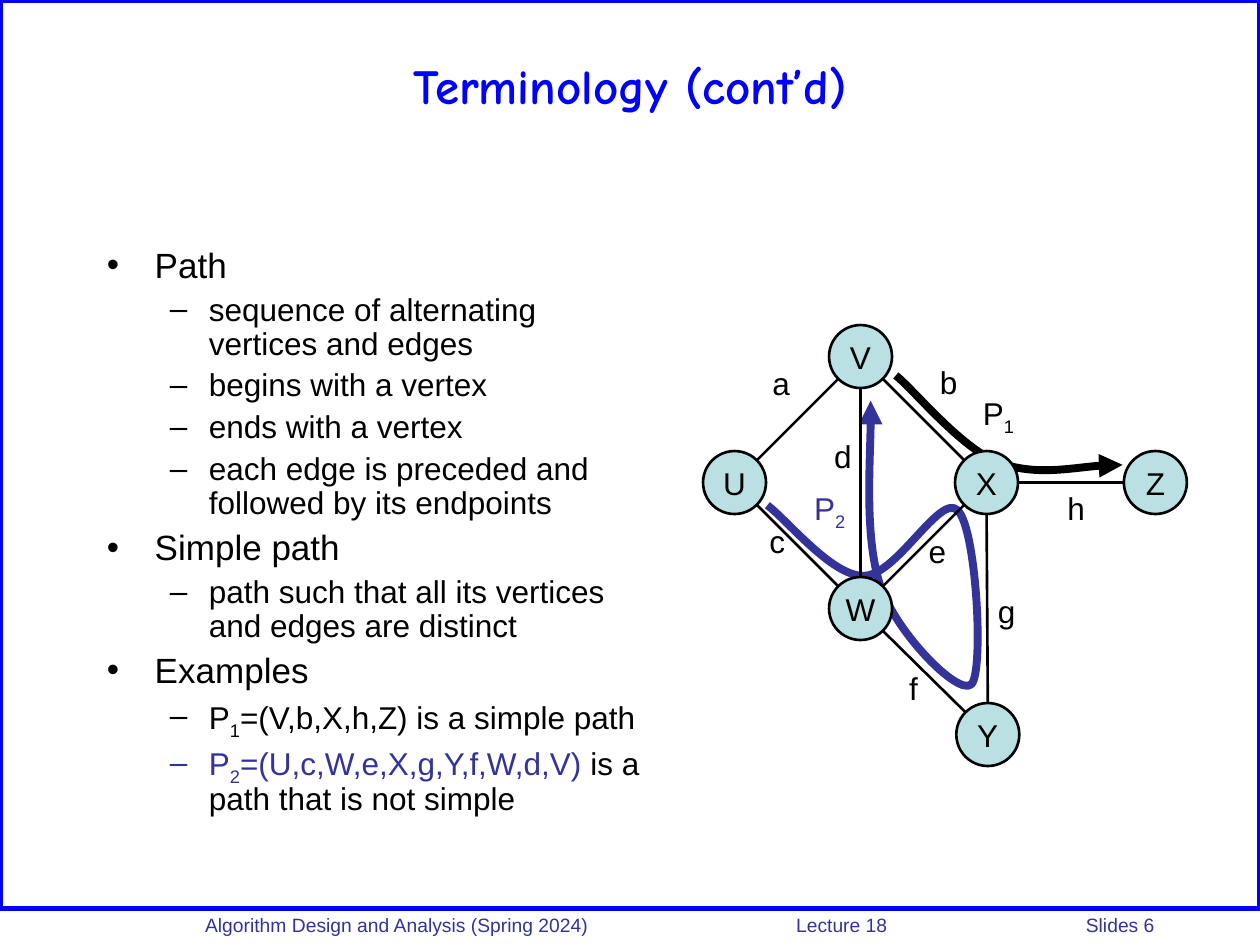
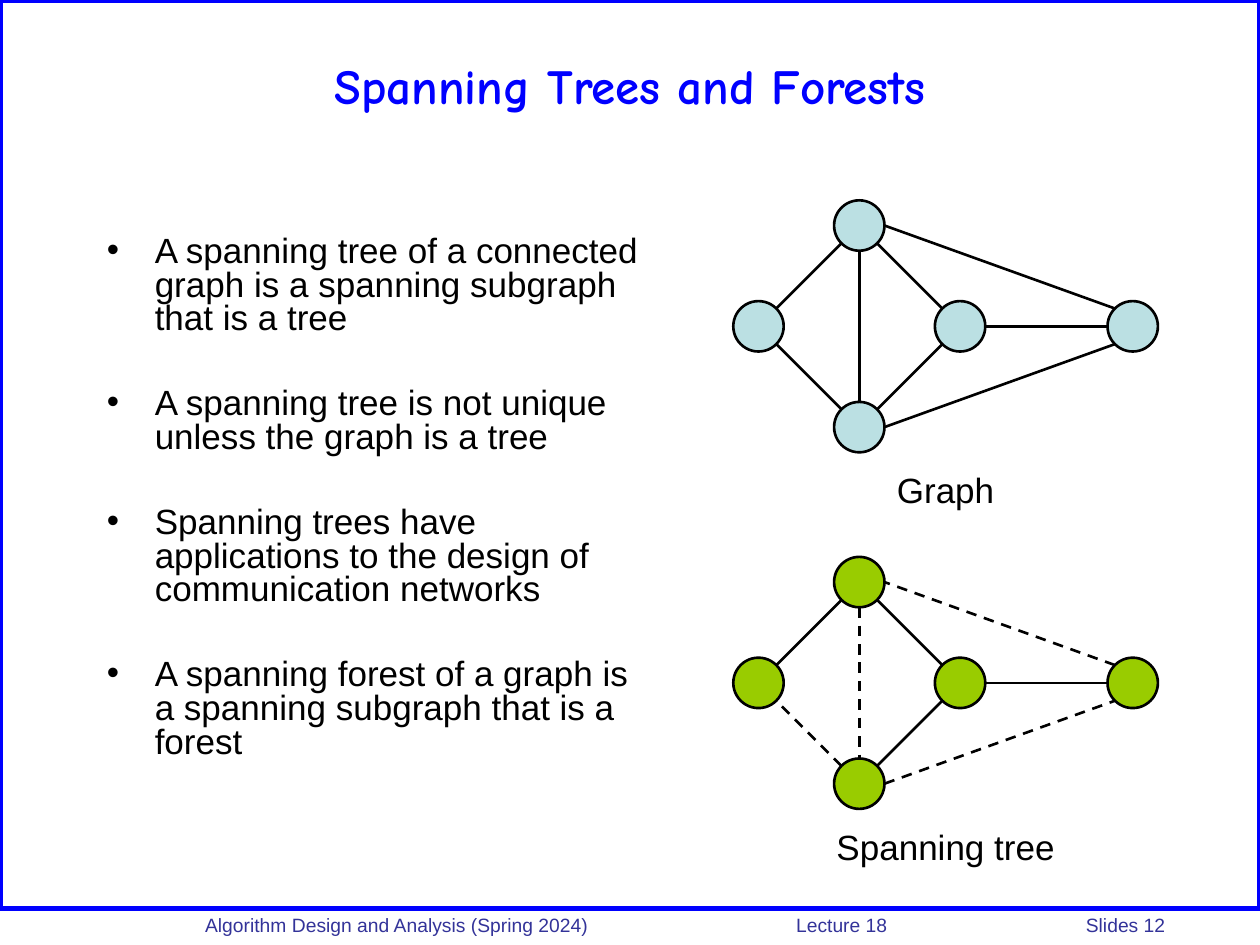
import math
from typing import NamedTuple

import lxml.etree as etree
import pptx
import pptx.dml.color
import pptx.enum.dml
import pptx.enum.shapes
import pptx.enum.text
import pptx.oxml.ns
import pptx.util

Inches, Pt = pptx.util.Inches, pptx.util.Pt
qn = pptx.oxml.ns.qn
ALIGN = pptx.enum.text.PP_ALIGN
ANCHOR = pptx.enum.text.MSO_ANCHOR
SHAPE = pptx.enum.shapes.MSO_SHAPE

BLACK, BLUE, INDIGO = "000000", "0000FF", "333399"
PALE_TEAL, GREEN = "BBE0E3", "99CC00"
BODY_FONT, TITLE_FONT = "Arial", "Comic Neue"

DIAG = math.sqrt(0.5)
SITES = {"N": (0, -1), "S": (0, 1), "W": (-1, 0), "E": (1, 0),
         "NW": (-DIAG, -DIAG), "NE": (DIAG, -DIAG),
         "SW": (-DIAG, DIAG), "SE": (DIAG, DIAG)}


class Run(NamedTuple):
    text: str
    color: str = BLACK
    sub: bool = False


class Bullet(NamedTuple):
    runs: list[Run]
    level: int = 0


class BulletStyle(NamedTuple):
    char: str
    left: float
    hang: float
    size: float
    before: float


class Box(NamedTuple):
    x: float
    y: float
    w: float
    h: float

    def emu(self) -> list[int]:
        return [Inches(v) for v in self]


class Node(NamedTuple):
    """A vertex, placed by its centre."""
    x: float
    y: float
    text: str = ""


class Edge(NamedTuple):
    """An edge between two vertices, and the compass site it touches on each."""
    start: str
    start_site: str
    end: str
    end_site: str


class Label(NamedTuple):
    x: float
    y: float
    w: float
    runs: list[Run]


BULLETS = [BulletStyle("•", 0.38, 0.38, 20, 5), BulletStyle("–", 0.81, 0.31, 18, 4.5)]


def rgb(color: str) -> pptx.dml.color.RGBColor:
    return pptx.dml.color.RGBColor.from_string(color)


def style_line(line, color: str, width: float) -> None:
    line.color.rgb = rgb(color)
    line.width = Pt(width)


def add_runs(p, runs: list[Run], size: float, font: str = BODY_FONT, bold: bool = False) -> None:
    for run in runs:
        r = p.add_run()
        r.text = run.text
        r.font.name, r.font.size, r.font.bold = font, Pt(size), bold
        r.font.color.rgb = rgb(run.color)
        if run.sub:
            r.font._element.set("baseline", "-25000")


def add_label(s, box: Box, runs: list[Run], size: float = 18,
              align=ALIGN.CENTER, wrap: bool = False) -> None:
    tf = s.shapes.add_textbox(*box.emu()).text_frame
    tf.word_wrap = wrap
    tf.paragraphs[0].alignment = align
    add_runs(tf.paragraphs[0], runs, size)


def add_bullets(s, box: Box, bullets: list[Bullet], spacing: float, gap: float = 0) -> None:
    """Draw a bulleted list; gap is extra space between entries, in points."""
    tf = s.shapes.add_textbox(*box.emu()).text_frame
    tf.word_wrap = True
    for i, bullet in enumerate(bullets):
        style = BULLETS[bullet.level]
        p = tf.add_paragraph() if i else tf.paragraphs[0]
        p.level = bullet.level
        pPr = p._p.get_or_add_pPr()
        pPr.set("marL", str(Inches(style.left)))
        pPr.set("indent", str(-Inches(style.hang)))
        bu_color = etree.SubElement(pPr, qn("a:buClr"))
        etree.SubElement(bu_color, qn("a:srgbClr"), val=bullet.runs[0].color)
        etree.SubElement(pPr, qn("a:buFont"), typeface=BODY_FONT)
        etree.SubElement(pPr, qn("a:buChar"), char=style.char)
        p.line_spacing = spacing
        p.space_before = Pt(style.before + gap if i else 0)
        add_runs(p, bullet.runs, style.size)


def add_node(s, node: Node, diameter: float, fill: str) -> None:
    box = Box(node.x - diameter / 2, node.y - diameter / 2, diameter, diameter)
    sp = s.shapes.add_shape(SHAPE.OVAL, *box.emu())
    sp.shadow.inherit = False
    sp.fill.solid()
    sp.fill.fore_color.rgb = rgb(fill)
    style_line(sp.line, BLACK, 1.5)
    if node.text:
        tf = sp.text_frame
        tf.word_wrap = False
        tf.vertical_anchor = ANCHOR.MIDDLE
        tf.paragraphs[0].alignment = ALIGN.CENTER
        add_runs(tf.paragraphs[0], [Run(node.text)], 18)


def site_point(node: Node, site: str, diameter: float) -> tuple[int, int]:
    dx, dy = SITES[site]
    return Inches(node.x + dx * diameter / 2), Inches(node.y + dy * diameter / 2)


def add_edge(s, start: tuple[int, int], end: tuple[int, int], dashed: bool) -> None:
    c = s.shapes.add_connector(pptx.enum.shapes.MSO_CONNECTOR.STRAIGHT, *start, *end)
    style_line(c.line, BLACK, 1.5)
    if dashed:
        c.line.dash_style = pptx.enum.dml.MSO_LINE.DASH
    etree.SubElement(c._element.spPr, qn("a:effectLst"))


def add_graph(s, nodes: dict[str, Node], edges: list[Edge], diameter: float,
              fill: str, dashed: frozenset[str] = frozenset()) -> None:
    """Draw vertices and edges; dashed holds edges as their two vertex keys joined."""
    for node in nodes.values():
        add_node(s, node, diameter, fill)
    for e in edges:
        add_edge(s, site_point(nodes[e.start], e.start_site, diameter),
                 site_point(nodes[e.end], e.end_site, diameter),
                 e.start + e.end in dashed)


def add_curve_arrow(s, points: list[tuple[float, float]], color: str) -> None:
    """Draw Bézier segments (start point, then three points each) ending in an arrowhead."""
    start, *rest = [(Inches(x), Inches(y)) for x, y in points]
    builder = s.shapes.build_freeform(*start, scale=1.0)
    builder.add_line_segments(rest, close=False)
    sp = builder.convert_to_shape()
    sp.shadow.inherit = False
    sp.fill.background()
    style_line(sp.line, color, 4.5)
    etree.SubElement(sp._element.spPr.find(qn("a:ln")), qn("a:tailEnd"), type="triangle")
    segments = sp._element.findall(".//" + qn("a:lnTo"))
    for i in range(0, len(segments), 3):
        bezier = etree.Element(qn("a:cubicBezTo"))
        segments[i].addprevious(bezier)
        for segment in segments[i:i + 3]:
            bezier.append(segment[0])
            segment.getparent().remove(segment)


def add_slide(prs, title: str, number: int):
    """Add a slide with the shared frame, title and footer."""
    s = prs.slides.add_slide(prs.slide_layouts[5])
    frame = s.shapes.add_shape(SHAPE.RECTANGLE, *Box(0, 0, 10, 7.21).emu())
    frame.shadow.inherit = False
    frame.fill.background()
    style_line(frame.line, BLUE, 3)

    sp = s.shapes.title
    sp.left, sp.top, sp.width, sp.height = Box(0.5, 0.17, 9, 1).emu()
    tf = sp.text_frame
    tf.auto_size = pptx.enum.text.MSO_AUTO_SIZE.NONE
    tf.vertical_anchor = ANCHOR.MIDDLE
    tf.paragraphs[0].alignment = ALIGN.CENTER
    add_runs(tf.paragraphs[0], [Run(title, BLUE)], 28, TITLE_FONT, bold=True)

    footer = [(1.53, 4, "Algorithm Design and Analysis (Spring 2024)"),
              (6.22, 1.5, "Lecture 18"), (8.52, 1.4, f"Slides {number}")]
    for x, w, text in footer:
        add_label(s, Box(x, 7.2, w, 0.26), [Run(text, INDIGO)], 11, ALIGN.LEFT, wrap=True)
    return s


def terminology_slide(prs) -> None:
    s = add_slide(prs, "Terminology (cont’d)", 6)
    add_bullets(s, Box(0.75, 1.92, 4.5, 4.67), [
        Bullet([Run("Path")]),
        Bullet([Run("sequence of alternating vertices and edges")], 1),
        Bullet([Run("begins with a vertex")], 1),
        Bullet([Run("ends with a vertex")], 1),
        Bullet([Run("each edge is preceded and followed by its endpoints")], 1),
        Bullet([Run("Simple path")]),
        Bullet([Run("path such that all its vertices and edges are distinct")], 1),
        Bullet([Run("Examples")]),
        Bullet([Run("P"), Run("1", sub=True), Run("=(V,b,X,h,Z) is a simple path")], 1),
        Bullet([Run("P", INDIGO), Run("2", INDIGO, True),
                Run("=(U,c,W,e,X,g,Y,f,W,d,V)", INDIGO),
                Run(" is a path that is not simple")], 1),
    ], spacing=0.9)

    add_curve_arrow(s, [
        (6.09, 4.01), (6.25, 4.13), (6.6, 4.57), (6.85, 4.57),
        (7.11, 4.58), (7.46, 3.91), (7.6, 4.05),
        (7.75, 4.19), (7.81, 5.33), (7.71, 5.43),
        (7.61, 5.53), (7.12, 5.03), (6.99, 4.66),
        (6.86, 4.28), (6.92, 3.42), (6.91, 3.18)], INDIGO)
    add_curve_arrow(s, [
        (7.11, 2.98), (7.25, 3.09), (7.62, 3.55), (7.92, 3.67),
        (8.22, 3.78), (8.7, 3.68), (8.91, 3.69)], BLACK)

    centres = {"X": (7.83, 3.83), "U": (5.83, 3.83), "V": (6.83, 2.83),
               "W": (6.83, 4.83), "Z": (9.17, 3.83), "Y": (7.84, 5.83)}
    nodes = {name: Node(x, y, name) for name, (x, y) in centres.items()}
    edges = [Edge("V", "SW", "U", "NE"), Edge("W", "NW", "U", "SE"),
             Edge("W", "NE", "X", "SW"), Edge("X", "E", "Z", "W"),
             Edge("V", "SE", "X", "NW"), Edge("V", "S", "W", "N"),
             Edge("W", "SE", "Y", "NW"), Edge("X", "S", "Y", "N")]
    add_graph(s, nodes, edges, 0.5, PALE_TEAL)

    edge_labels = {"a": (6.03, 2.84), "b": (7.36, 2.83), "c": (6.0, 4.09),
                   "d": (6.52, 3.42), "e": (7.27, 4.17), "f": (7.08, 5.26),
                   "g": (7.82, 4.65), "h": (8.37, 3.83)}
    labels = [Label(x, y, 0.34, [Run(name)]) for name, (x, y) in edge_labels.items()]
    labels += [Label(7.7, 3.08, 0.45, [Run("P"), Run("1", sub=True)]),
               Label(6.36, 3.83, 0.45, [Run("P", INDIGO), Run("2", INDIGO, True)])]
    for label in labels:
        add_label(s, Box(label.x, label.y, label.w, 0.4), label.runs)


def spanning_slide(prs) -> None:
    s = add_slide(prs, "Spanning Trees and Forests", 12)
    statements = [
        "A spanning tree of a connected graph is a spanning subgraph that is a tree",
        "A spanning tree is not unique unless the graph is a tree",
        "Spanning trees have applications to the design of communication networks",
        "A spanning forest of a graph is a spanning subgraph that is a forest"]
    add_bullets(s, Box(0.75, 1.83, 4.42, 4.64),
                [Bullet([Run(text)]) for text in statements], spacing=0.8, gap=24.4)

    edges = [Edge("T", "SW", "L", "NE"), Edge("B", "NW", "L", "SE"),
             Edge("B", "NE", "M", "SW"), Edge("T", "SE", "M", "NW"),
             Edge("T", "S", "B", "N"), Edge("M", "E", "R", "W"),
             Edge("B", "E", "R", "SW"), Edge("R", "NW", "T", "E")]
    non_tree = frozenset({"BL", "TB", "BR", "RT"})
    graphs = [(2.59, PALE_TEAL, frozenset(), "Graph"),
              (5.42, GREEN, non_tree, "Spanning tree")]
    for y, fill, dashed, caption in graphs:
        nodes = {"M": Node(7.62, y), "L": Node(6.02, y), "T": Node(6.82, y - 0.8),
                 "B": Node(6.82, y + 0.8), "R": Node(8.99, y)}
        add_graph(s, nodes, edges, 0.4, fill, dashed)
        add_label(s, Box(5.51, y + 1.08, 3.99, 0.44), [Run(caption)], 20, wrap=True)


def main() -> None:
    prs = pptx.Presentation()
    prs.slide_width, prs.slide_height = Inches(10), Inches(7.5)
    terminology_slide(prs)
    spanning_slide(prs)
    prs.save("out.pptx")


if __name__ == "__main__":
    main()
